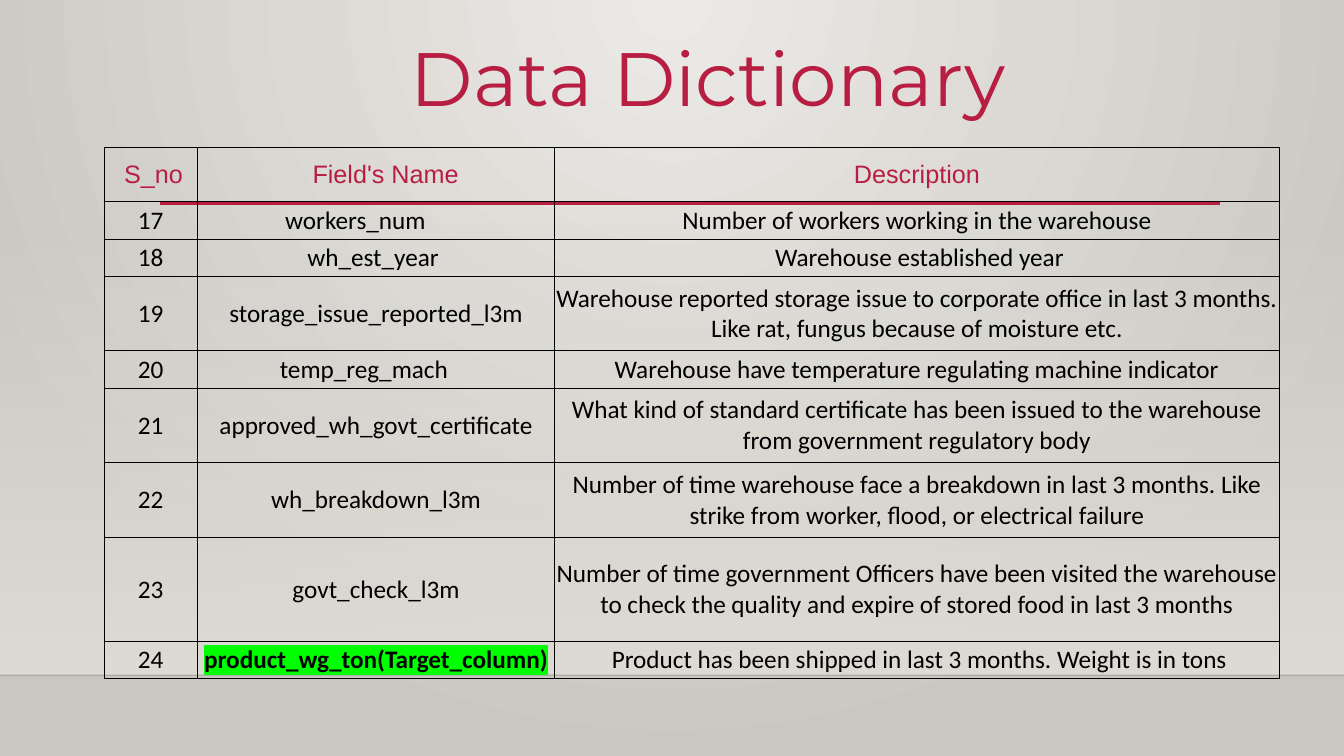
import pptx
import pptx.util
import pptx.dml.color
import pptx.enum.shapes
import pptx.enum.text
import pptx.oxml
import pptx.oxml.ns

Inches = pptx.util.Inches
Pt = pptx.util.Pt
MIDDLE = pptx.enum.text.MSO_ANCHOR.MIDDLE
CENTER = pptx.enum.text.PP_ALIGN.CENTER
LEFT = pptx.enum.text.PP_ALIGN.LEFT

TITLE = "Data Dictionary"
HEADER = ("S_no", "Field's Name", "Description")
FIRST_NUMBER = 17
FIELDS = [
    ("workers_num", "Number of workers working in the warehouse"),
    ("wh_est_year", "Warehouse established year"),
    ("storage_issue_reported_l3m",
     "Warehouse reported storage issue to corporate office in last 3 months. "
     "Like rat, fungus because of moisture etc."),
    ("temp_reg_mach", "Warehouse have temperature regulating machine indicator"),
    ("approved_wh_govt_certificate",
     "What kind of standard certificate has been issued to the warehouse "
     "from government regulatory body"),
    ("wh_breakdown_l3m",
     "Number of time warehouse face a breakdown in last 3 months. "
     "Like strike from worker, flood, or electrical failure"),
    ("govt_check_l3m",
     "Number of time government Officers have been visited the warehouse "
     "to check the quality and expire of stored food in last 3 months"),
    ("product_wg_ton(Target_column)",
     "Product has been shipped in last 3 months. Weight is in tons"),
]
TARGET = FIELDS[-1][0]
COLUMN_WIDTHS = (0.93, 3.54, 7.19)
ROW_HEIGHTS = (0.54, 0.37, 0.37, 0.74, 0.37, 0.74, 0.74, 1.03, 0.37)
INSET = 0.01
LEFT_INSETS = {(0, 0): 0.2, (0, 1): 0.2, (2, 2): 0.06, (8, 2): 0.06}
RIGHT_INSETS = {(1, 1): 0.42, (2, 1): 0.07, (4, 1): 0.25}
CRIMSON, BLACK, GREEN = "B71E42", "000000", "00FF00"
RADIAL = ('<a:path path="circle"><a:fillToRect l="43000" t="0" r="43000" '
          'b="100000"/></a:path>')
DOWNWARD = '<a:lin ang="5400000" scaled="0"/>'


def color(value):
    return pptx.dml.color.RGBColor.from_string(value)


def element(tag, content, attributes=""):
    namespace = pptx.oxml.ns.nsdecls("a")
    return pptx.oxml.parse_xml(f"<a:{tag} {namespace} {attributes}>{content}</a:{tag}>")


def solid(value):
    return f'<a:solidFill><a:srgbClr val="{value}"/></a:solidFill>'


def set_gradient(fill, holder, stops, direction):
    fill.gradient()
    old = holder.find(".//" + pptx.oxml.ns.qn("a:gradFill"))
    marks = "".join(
        f'<a:gs pos="{position * 1000}"><a:srgbClr val="{value}">'
        f'<a:alpha val="{alpha * 1000}"/></a:srgbClr></a:gs>'
        for position, value, alpha in stops)
    new = element("gradFill", f"<a:gsLst>{marks}</a:gsLst>{direction}",
                  'rotWithShape="1"')
    old.getparent().replace(old, new)


def add_rule(page, left, right, top, value, width):
    rule = page.shapes.add_connector(
        pptx.enum.shapes.MSO_CONNECTOR.STRAIGHT,
        Inches(left), Inches(top), Inches(right), Inches(top))
    rule.line.color.rgb = color(value)
    rule.line.width = Pt(width)
    rule.element.spPr.append(element("effectLst", ""))
    return rule


def style_font(span, name, size, value):
    span.font.name = name
    span.font.size = Pt(size)
    span.font.color.rgb = color(value)


def fill_cell(cell, row, column, text):
    properties = cell._tc.get_or_add_tcPr()
    for side in ("lnL", "lnR", "lnT", "lnB"):
        properties.append(element(side, solid(BLACK), f'w="{Pt(0.5)}"'))
    cell.fill.background()
    cell.vertical_anchor = MIDDLE
    cell.margin_left = Inches(LEFT_INSETS.get((row, column), INSET))
    cell.margin_right = Inches(RIGHT_INSETS.get((row, column), INSET))
    cell.margin_top = Inches(INSET)
    cell.margin_bottom = 0
    cell.text_frame.text = text
    para = cell.text_frame.paragraphs[0]
    para.alignment = LEFT if (row, column) == (0, 0) else CENTER
    span = para.runs[0]
    if row == 0:
        style_font(span, "Arial", 18, CRIMSON)
    else:
        style_font(span, "Calibri", 18, BLACK)
    if text == TARGET:
        span.font.bold = True
        ink = span.font._element.find(pptx.oxml.ns.qn("a:solidFill"))
        ink.addnext(element("highlight", f'<a:srgbClr val="{GREEN}"/>'))


def add_backdrop(page):
    set_gradient(page.background.fill, page.element,
                 [(0, "ECEAE7", 100), (100, "CAC7C1", 100)], RADIAL)
    band = page.shapes.add_shape(
        pptx.enum.shapes.MSO_SHAPE.RECTANGLE,
        0, Inches(2.21), Inches(13.33), Inches(4.49))
    band.shadow.inherit = False
    band.line.fill.background()
    set_gradient(band.fill, band.element,
                 [(0, "DFDBD5", 0), (100, "DFDBD5", 100)], DOWNWARD)
    floor = add_rule(page, 0, 13.33, 6.7, "000001", 1)
    ink = floor.element.find(".//" + pptx.oxml.ns.qn("a:srgbClr"))
    ink.append(element("alpha", "", 'val="20000"'))
    add_rule(page, 1.59, 12.1, 2.02, CRIMSON, 2.5)


def add_dictionary(page):
    rows = [HEADER] + [(str(number), *field)
                       for number, field in enumerate(FIELDS, FIRST_NUMBER)]
    table = page.shapes.add_table(
        len(rows), len(HEADER), Inches(1.03), Inches(1.46),
        Inches(sum(COLUMN_WIDTHS)), Inches(sum(ROW_HEIGHTS))).table
    table.first_row = False
    table.horz_banding = False
    for column, width in zip(table.columns, COLUMN_WIDTHS):
        column.width = Inches(width)
    for row, height in zip(table.rows, ROW_HEIGHTS):
        row.height = Inches(height)
    for row, texts in enumerate(rows):
        for column, text in enumerate(texts):
            fill_cell(table.cell(row, column), row, column, text)


def add_title(page):
    box = page.shapes.title
    box.left, box.top = Inches(3.69), Inches(0.25)
    box.width, box.height = Inches(6.67), Inches(1.01)
    frame = box.text_frame
    frame.text = TITLE
    frame.word_wrap = False
    frame.auto_size = pptx.enum.text.MSO_AUTO_SIZE.NONE
    frame.vertical_anchor = MIDDLE
    para = frame.paragraphs[0]
    para.alignment = CENTER
    style_font(para.runs[0], "Montserrat", 54, CRIMSON)


def main():
    deck = pptx.Presentation()
    deck.slide_width, deck.slide_height = Inches(13.33), Inches(7.5)
    page = deck.slides.add_slide(deck.slide_layouts.get_by_name("Title Only"))
    add_backdrop(page)
    add_dictionary(page)
    add_title(page)
    deck.save("out.pptx")


if __name__ == "__main__":
    main()
